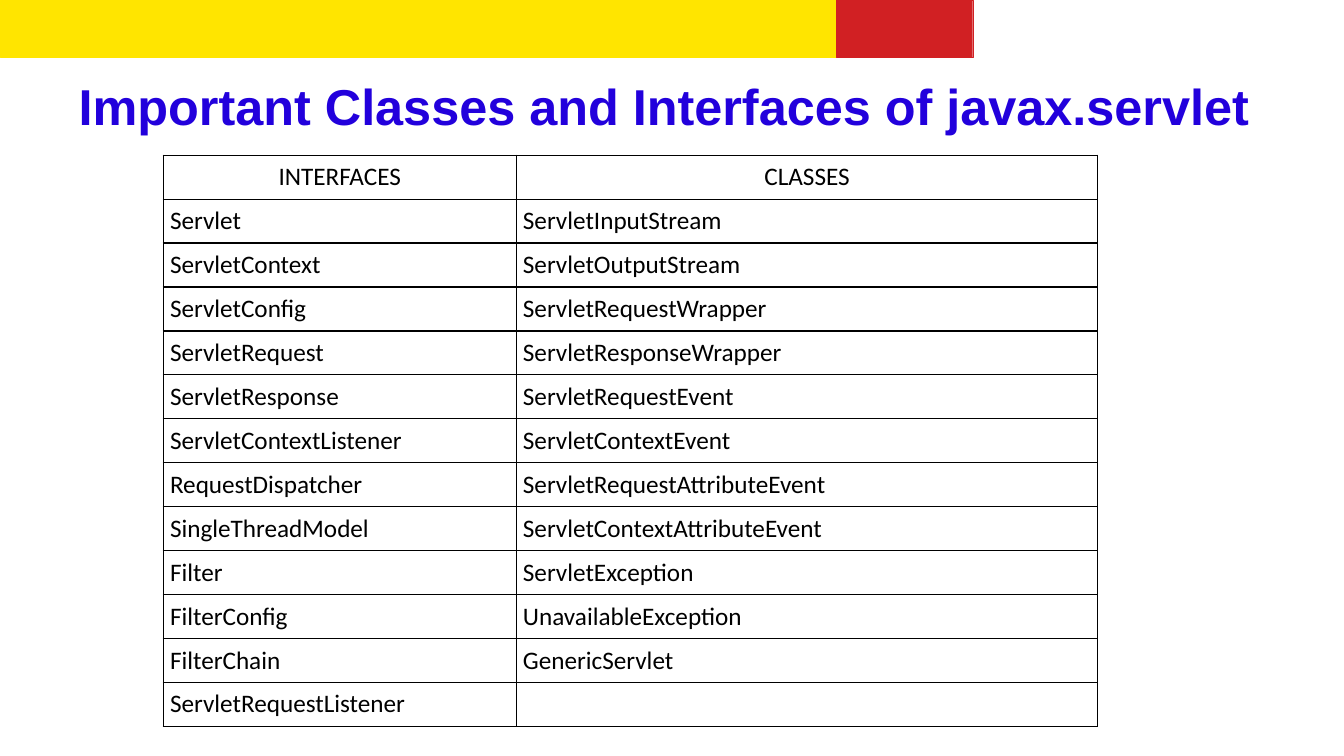
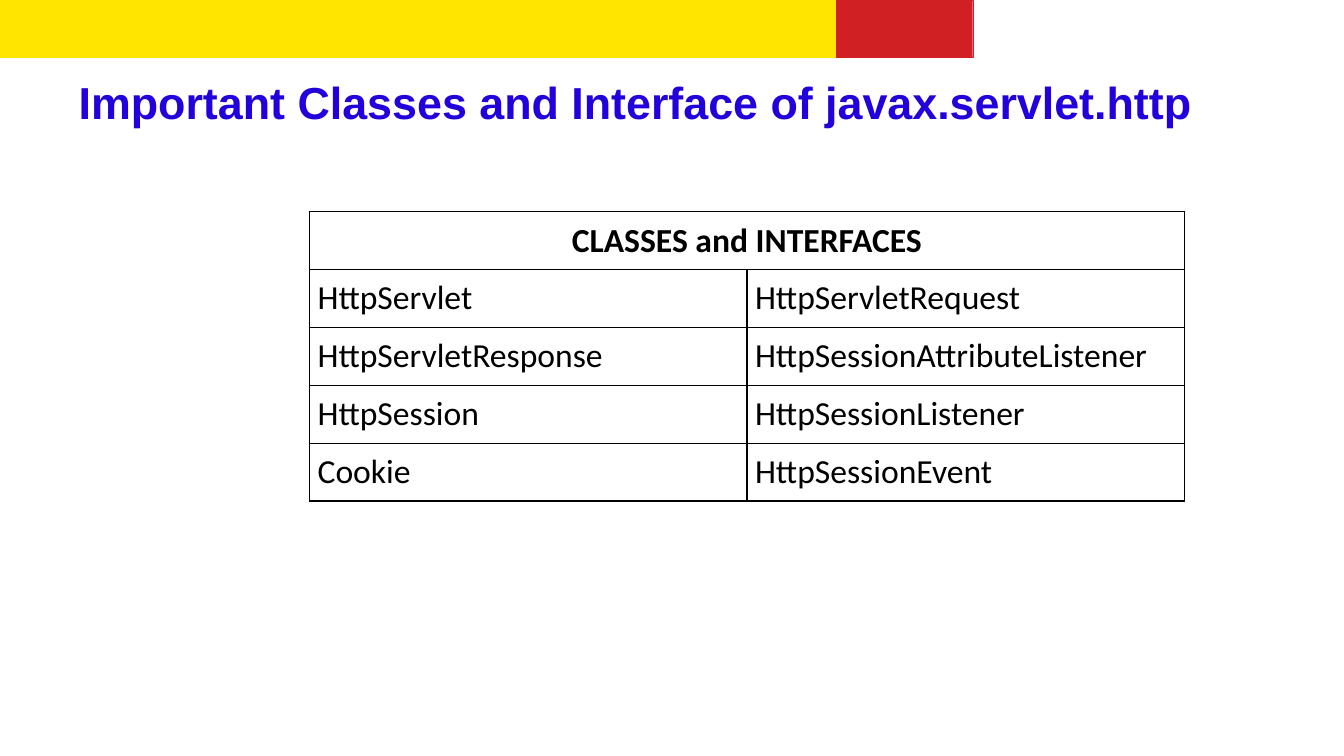
from lxml import etree
from pptx import Presentation
from pptx.dml.color import RGBColor
from pptx.enum.shapes import MSO_SHAPE
from pptx.enum.text import MSO_ANCHOR, PP_ALIGN
from pptx.oxml.ns import qn
from pptx.util import Inches, Pt

RECT = MSO_SHAPE.RECTANGLE
TOP, MIDDLE = MSO_ANCHOR.TOP, MSO_ANCHOR.MIDDLE
LEFT, CENTER = PP_ALIGN.LEFT, PP_ALIGN.CENTER

WIDTH, HEIGHT = Inches(13.33), Inches(7.5)
COLORS = {
    "yellow": "FFE500",
    "red": "D12023",
    "title": "2200DC",
    "text": "000000",
    "border": "000000",
}
BANDS = [("yellow", 0, 62.25), ("red", 62.25, 10.13)]

SERVLET = [
    ("INTERFACES", "CLASSES"),
    ("Servlet", "ServletInputStream"),
    ("ServletContext", "ServletOutputStream"),
    ("ServletConfig", "ServletRequestWrapper"),
    ("ServletRequest", "ServletResponseWrapper"),
    ("ServletResponse", "ServletRequestEvent"),
    ("ServletContextListener", "ServletContextEvent"),
    ("RequestDispatcher", "ServletRequestAttributeEvent"),
    ("SingleThreadModel", "ServletContextAttributeEvent"),
    ("Filter", "ServletException"),
    ("FilterConfig", "UnavailableException"),
    ("FilterChain", "GenericServlet"),
    ("ServletRequestListener", ""),
]
HTTP = [
    ("CLASSES and INTERFACES", ""),
    ("HttpServlet", "HttpServletRequest"),
    ("HttpServletResponse", "HttpSessionAttributeListener"),
    ("HttpSession", "HttpSessionListener"),
    ("Cookie", "HttpSessionEvent"),
]


def across(share):
    return round(WIDTH * share / 100)


def down(share):
    return round(HEIGHT * share / 100)


def color(name):
    return RGBColor.from_string(COLORS[name])


def write(frame, text, font, size, hue, bold=False, align=LEFT):
    frame.text = text
    for para in frame.paragraphs:
        para.alignment = align
        for run in para.runs:
            run.font.name = font
            run.font.size = Pt(size)
            run.font.bold = bold
            run.font.color.rgb = color(hue)


def add_band(slide, hue, left, width):
    band = slide.shapes.add_shape(RECT, across(left), 0, across(width), down(7.6))
    band.shadow.inherit = False
    band.fill.solid()
    band.fill.fore_color.rgb = color(hue)
    band.line.color.rgb = color(hue)
    band.line.width = Pt(0.25)


def add_title(slide, text, size):
    box = slide.shapes.add_textbox(across(5.85), down(9.87), across(88.3), down(8.1))
    frame = box.text_frame
    frame.word_wrap = True
    frame.vertical_anchor = TOP
    frame.margin_left = frame.margin_right = 0
    frame.margin_top = frame.margin_bottom = 0
    write(frame, text, "Arial", size, "title", bold=True)


def add_slide(deck, title, size):
    slide = deck.slides.add_slide(deck.slide_layouts[6])
    for band in BANDS:
        add_band(slide, *band)
    add_title(slide, title, size)
    return slide


def set_border(cell):
    props = cell._tc.get_or_add_tcPr()
    for side in ("lnL", "lnR", "lnT", "lnB"):
        line = etree.SubElement(props, qn("a:" + side), w=str(Pt(1)))
        fill = etree.SubElement(line, qn("a:solidFill"))
        etree.SubElement(fill, qn("a:srgbClr"), val=COLORS["border"])


def add_table(slide, rows, left, top, cols, height, size, inset, bold=False):
    frame = slide.shapes.add_table(
        len(rows), len(cols), across(left), down(top), across(sum(cols)), down(height)
    )
    table = frame.table
    table.first_row = table.horz_banding = False
    for col, share in zip(table.columns, cols):
        col.width = across(share)
    for r, row in enumerate(rows):
        table.rows[r].height = down(height / len(rows))
        for c, text in enumerate(row):
            cell = table.cell(r, c)
            set_border(cell)
            cell.fill.background()
            cell.margin_left = cell.margin_right = across(inset)
            cell.margin_top = cell.margin_bottom = down(inset * 1.7)
            cell.vertical_anchor = MIDDLE
            head = r == 0
            write(cell.text_frame, text, "Calibri", size, "text",
                  bold and head, CENTER if head else LEFT)
    return table


def main():
    deck = Presentation()
    deck.slide_width, deck.slide_height = WIDTH, HEIGHT

    slide = add_slide(deck, "Important Classes and Interfaces of javax.servlet", 36)
    add_table(slide, SERVLET, 12.15, 20.53, [26.26, 43.28], 75.6, 18, 0.5)

    slide = add_slide(deck, "Important Classes and Interface of javax.servlet.http", 32)
    table = add_table(slide, HTTP, 23.03, 28, [32.55] * 2, 38.27, 24, 0.6, bold=True)
    table.cell(0, 0).merge(table.cell(0, 1))

    deck.save("out.pptx")


if __name__ == "__main__":
    main()
